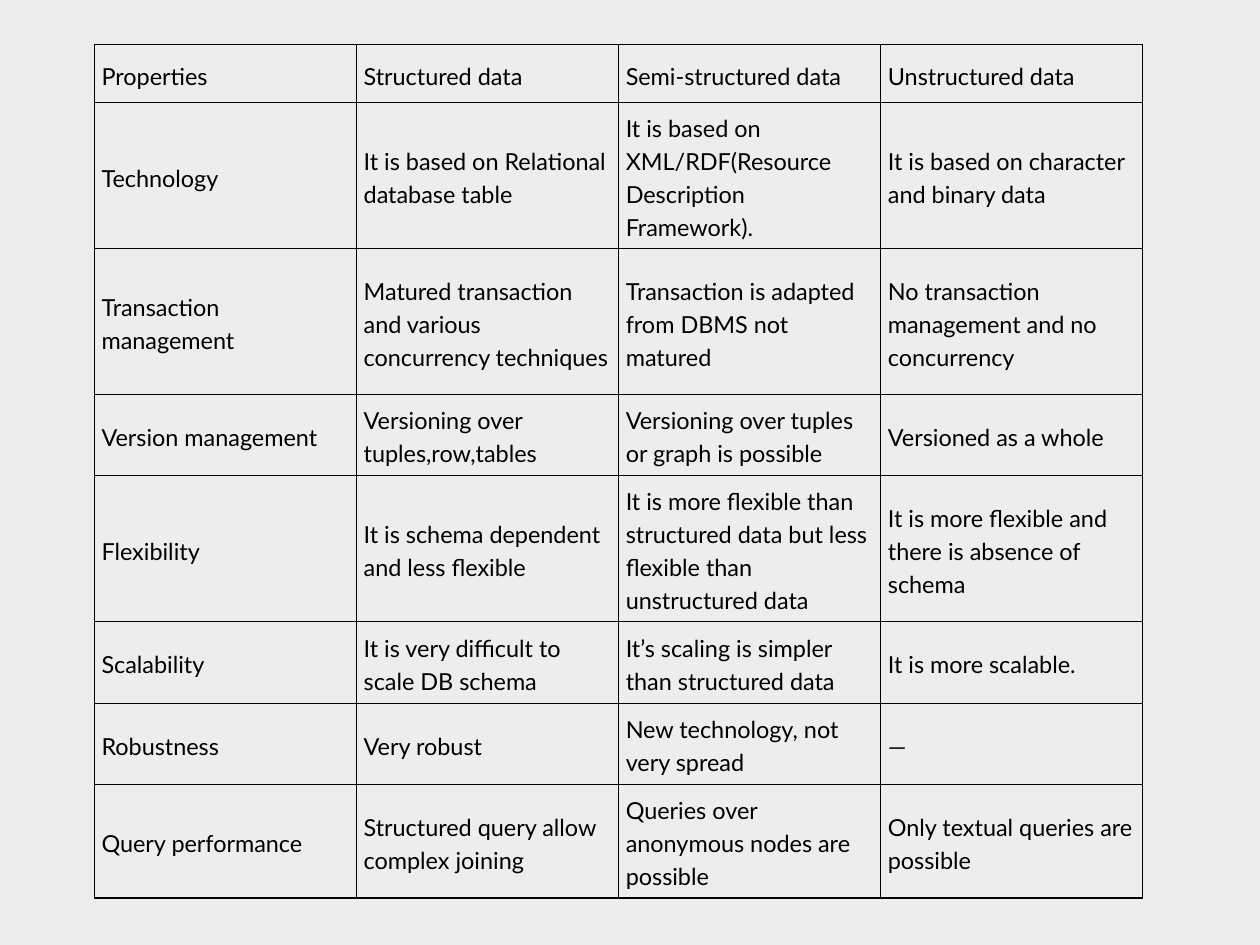
from typing import NamedTuple

from lxml.etree import SubElement
from pptx import Presentation
from pptx.dml.color import RGBColor
from pptx.enum.text import MSO_ANCHOR, PP_ALIGN
from pptx.oxml.ns import qn
from pptx.table import Table, _Cell
from pptx.util import Inches, Pt

COLORS = {"background": "EDEDED", "text": "000000", "border": "000000"}
FONT_NAME = "Lato"
FONT_SIZE = Pt(14.3)
LINE_SPACING = Pt(20.1)
CELL_MARGIN = Inches(0.06)
BORDER_WIDTH = Pt(0.75)
COLUMN_WIDTH = Inches(2.22)


class PropertyRow(NamedTuple):
    height: float
    name: str
    structured: str
    semi_structured: str
    unstructured: str


ROWS = [
    PropertyRow(0.49, "Properties", "Structured data", "Semi-structured data", "Unstructured data"),
    PropertyRow(
        1.23,
        "Technology",
        "It is based on Relational database table",
        "It is based on XML/RDF(Resource Description Framework).",
        "It is based on character and binary data",
    ),
    PropertyRow(
        1.23,
        "Transaction management",
        "Matured transaction and various concurrency techniques",
        "Transaction is adapted from DBMS not matured",
        "No transaction management and no concurrency",
    ),
    PropertyRow(
        0.69,
        "Version management",
        "Versioning over tuples,row,tables",
        "Versioning over tuples or graph is possible",
        "Versioned as a whole",
    ),
    PropertyRow(
        1.23,
        "Flexibility",
        "It is schema dependent and less flexible",
        "It is more flexible than structured data but less flexible than unstructured data",
        "It is more flexible and there is absence of schema",
    ),
    PropertyRow(
        0.69,
        "Scalability",
        "It is very difficult to scale DB schema",
        "It’s scaling is simpler than structured data",
        "It is more scalable.",
    ),
    PropertyRow(0.69, "Robustness", "Very robust", "New technology, not very spread", "—"),
    PropertyRow(
        0.96,
        "Query performance",
        "Structured query allow complex joining",
        "Queries over anonymous nodes are possible",
        "Only textual queries are possible",
    ),
]


def add_borders(cell: _Cell) -> None:
    properties = cell._tc.get_or_add_tcPr()
    for position, side in enumerate(("a:lnL", "a:lnR", "a:lnT", "a:lnB")):
        line = properties.makeelement(qn(side), {"w": str(int(BORDER_WIDTH))})
        properties.insert(position, line)
        fill = SubElement(line, qn("a:solidFill"))
        SubElement(fill, qn("a:srgbClr"), val=COLORS["border"])


def write_cell(cell: _Cell, text: str) -> None:
    cell.fill.background()
    cell.vertical_anchor = MSO_ANCHOR.MIDDLE
    cell.margin_left = cell.margin_right = CELL_MARGIN
    cell.margin_top = cell.margin_bottom = CELL_MARGIN
    paragraph = cell.text_frame.paragraphs[0]
    paragraph.alignment = PP_ALIGN.LEFT
    paragraph.line_spacing = LINE_SPACING
    run = paragraph.add_run()
    run.text = text
    run.font.name = FONT_NAME
    run.font.size = FONT_SIZE
    run.font.bold = False
    run.font.color.rgb = RGBColor.from_string(COLORS["text"])
    add_borders(cell)


def fill_table(table: Table, rows: list[PropertyRow]) -> None:
    table.first_row = False
    table.horz_banding = False
    for column in table.columns:
        column.width = COLUMN_WIDTH
    for table_row, (height, *texts) in zip(table.rows, rows):
        table_row.height = Inches(height)
        for cell, text in zip(table_row.cells, texts):
            write_cell(cell, text)


def main() -> None:
    presentation = Presentation()
    presentation.slide_width = Inches(10.67)
    presentation.slide_height = Inches(8)
    slide = presentation.slides.add_slide(presentation.slide_layouts[6])
    slide.background.fill.solid()
    slide.background.fill.fore_color.rgb = RGBColor.from_string(COLORS["background"])
    column_count = len(PropertyRow._fields) - 1
    table_height = sum(row.height for row in ROWS)
    shape = slide.shapes.add_table(
        len(ROWS), column_count,
        Inches(0.8), Inches(0.38), COLUMN_WIDTH * column_count, Inches(table_height),
    )
    fill_table(shape.table, ROWS)
    presentation.save("out.pptx")


if __name__ == "__main__":
    main()
